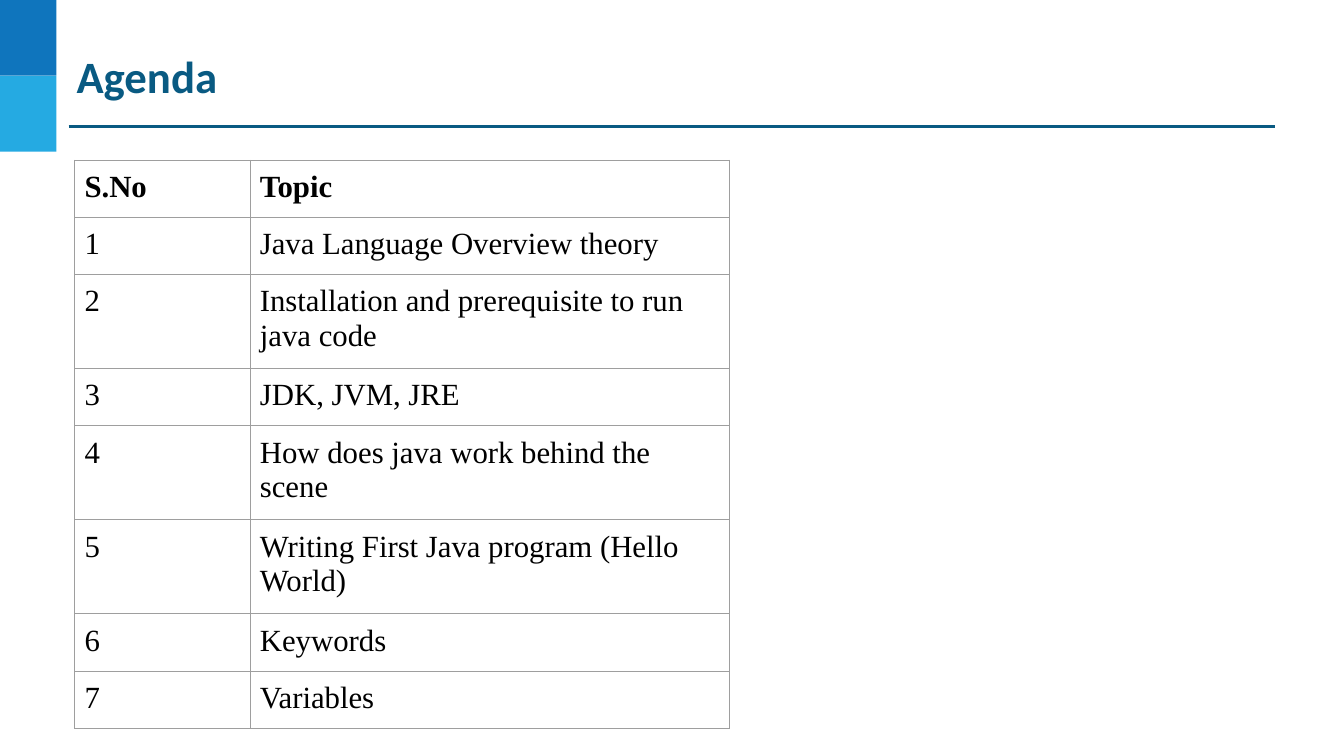
from dataclasses import dataclass

from lxml.etree import SubElement
from pptx import Presentation
from pptx.dml.color import RGBColor
from pptx.enum.shapes import MSO_CONNECTOR, MSO_SHAPE
from pptx.oxml.ns import qn
from pptx.util import Cm, Pt


@dataclass(frozen=True)
class Theme:
    dark: str = "0F75BD"
    light: str = "25AAE2"
    accent: str = "095A82"
    ink: str = "000000"
    grid: str = "9E9E9E"
    head: int = 32
    body: int = 22
    sans: str = "Calibri"
    serif: str = "Times New Roman"


theme = Theme()


def style(frame, name, size, color, bold):
    font = frame.paragraphs[0].runs[0].font
    font.name, font.size, font.bold = name, Pt(size), bold
    font.color.rgb = RGBColor.from_string(color)


def border(cell):
    props = cell._tc.get_or_add_tcPr()
    for index, side in enumerate(("a:lnL", "a:lnR", "a:lnT", "a:lnB")):
        line = props.makeelement(qn(side), {"w": str(Pt(0.75))})
        fill = SubElement(line, qn("a:solidFill"))
        SubElement(fill, qn("a:srgbClr"), val=theme.grid)
        props.insert(index, line)


deck = Presentation()
deck.slide_width, deck.slide_height = Cm(33.87), Cm(19.05)
slide = deck.slides.add_slide(deck.slide_layouts[6])
shapes = slide.shapes

# Corner blocks
side = 1.91
for row, color in enumerate((theme.dark, theme.light)):
    block = shapes.add_shape(MSO_SHAPE.RECTANGLE, 0, Cm(row * side), Cm(1.42), Cm(side))
    block.shadow.inherit = False
    block.fill.solid()
    block.fill.fore_color.rgb = RGBColor.from_string(color)
    block.line.fill.background()

# Title and rule
rule = shapes.add_connector(MSO_CONNECTOR.STRAIGHT, Cm(1.73), Cm(3.18), Cm(32.13), Cm(3.18))
rule.line.color.rgb = RGBColor.from_string(theme.accent)
rule.line.width = Pt(2.25)
SubElement(rule._element.spPr, qn("a:effectLst"))

title = shapes.add_textbox(Cm(1.88), Cm(1.17), Cm(30.4), Cm(1.47)).text_frame
title.word_wrap = True
title.margin_left = title.margin_right = title.margin_top = title.margin_bottom = Cm(0.05)
title.text = "Agenda"
style(title, theme.sans, theme.head, theme.accent, True)

# Agenda table: topic and number of text lines
topics = [
    ("Java Language Overview theory", 1),
    ("Installation and prerequisite to run java code", 2),
    ("JDK, JVM, JRE", 1),
    ("How does java work behind the scene", 2),
    ("Writing First Java program (Hello World)", 2),
    ("Keywords", 1),
    ("Variables", 1),
]
rows = [("S.No", "Topic", 1)]
rows += [(str(num), topic, lines) for num, (topic, lines) in enumerate(topics, 1)]
widths = (4.42, 12.09)
heights = [0.51 + 0.93 * lines for *_, lines in rows]

table = shapes.add_table(len(rows), len(widths), Cm(1.88), Cm(4.04),
                         Cm(sum(widths)), Cm(sum(heights))).table
table.horz_banding = False
for column, width in zip(table.columns, widths):
    column.width = Cm(width)
for r, (*texts, lines) in enumerate(rows):
    table.rows[r].height = Cm(heights[r])
    for c, text in enumerate(texts):
        cell = table.cell(r, c)
        cell.margin_left = cell.margin_right = Cm(0.25)
        cell.margin_top = cell.margin_bottom = Cm(0.25)
        cell.fill.background()
        border(cell)
        cell.text_frame.text = text
        style(cell.text_frame, theme.serif, theme.body, theme.ink, r == 0)

deck.save("out.pptx")
